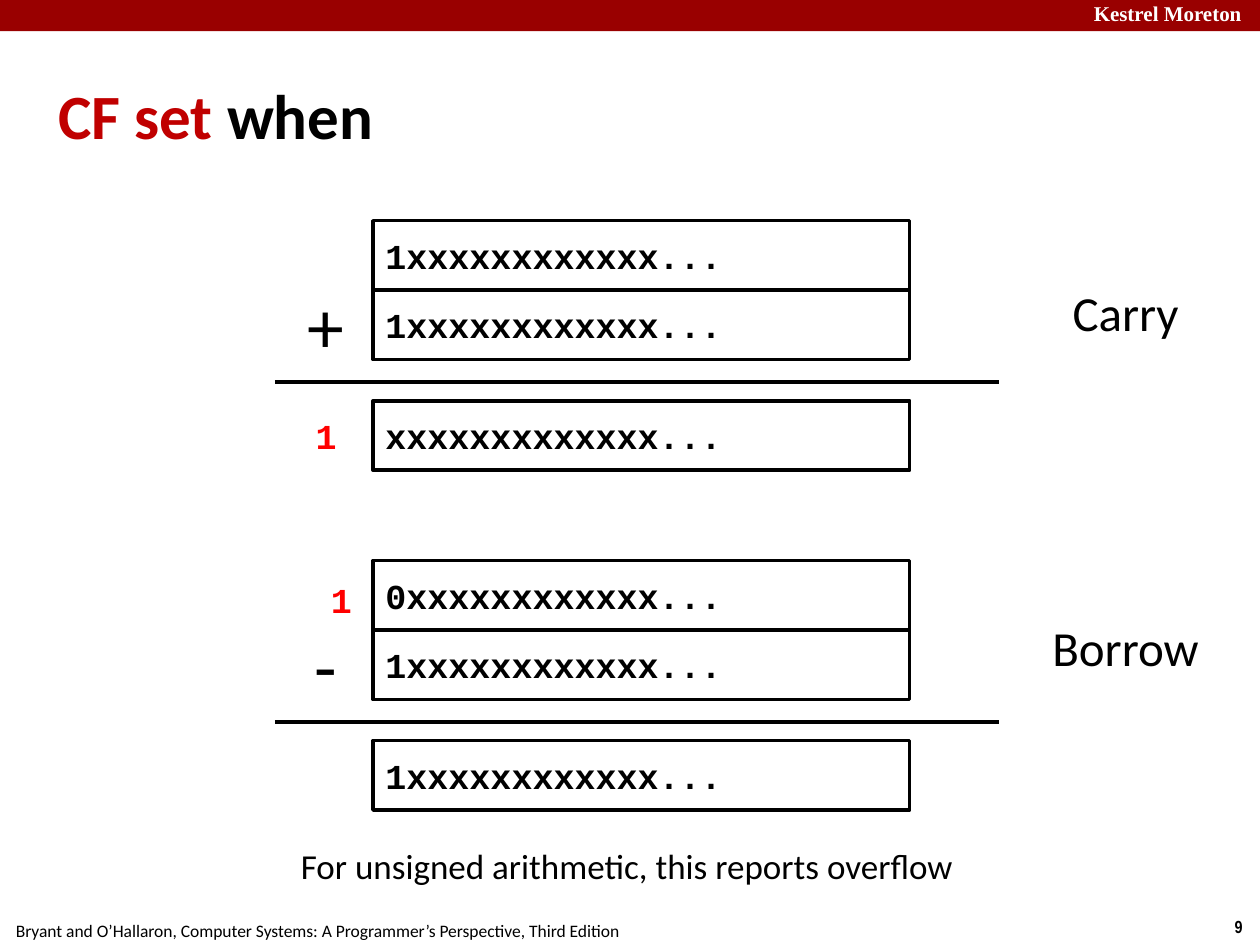
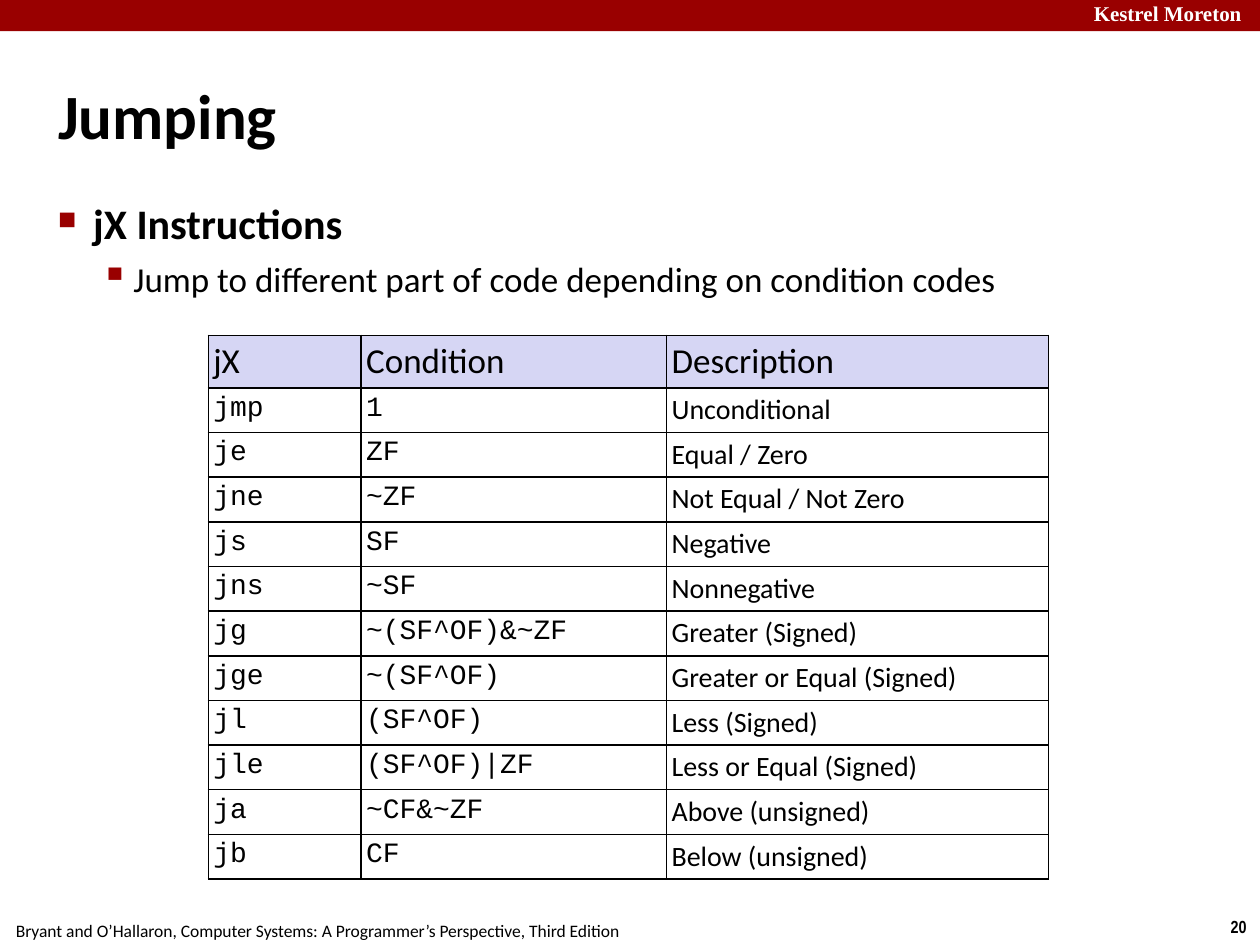
from dataclasses import dataclass

from pptx import Presentation
from pptx.dml.color import RGBColor
from pptx.enum.shapes import MSO_CONNECTOR, MSO_SHAPE
from pptx.enum.text import MSO_ANCHOR, MSO_AUTO_SIZE, PP_ALIGN
from pptx.oxml.ns import qn
from pptx.util import Cm, Pt
from lxml.etree import SubElement


@dataclass(frozen=True)
class TextStyle:
    """Font, size, weight and colour of a kind of text."""
    name: str = "Calibri"
    size: float = 20
    bold: bool = False
    colour: str = "000000"


@dataclass(frozen=True)
class Theme:
    """Colours, line widths and text styles that the slides share."""
    band: str = "990000"
    ink: str = "000000"
    header_fill: str = "D6D6F4"
    outline: float = 2
    grid: float = 1
    inset: float = 0.1
    brand: TextStyle = TextStyle("Times New Roman", 12, True, "FFFFFF")
    footer: TextStyle = TextStyle(size=10)
    page: TextStyle = TextStyle("Arial Narrow", 10, True)
    title: TextStyle = TextStyle(size=36, bold=True)
    title_accent: TextStyle = TextStyle(size=36, bold=True, colour="C00000")
    topic: TextStyle = TextStyle(size=24, bold=True)
    body: TextStyle = TextStyle()
    bits: TextStyle = TextStyle("Courier New", 20, True)
    flag: TextStyle = TextStyle("Courier New", 20, True, "FF0000")
    operator: TextStyle = TextStyle(size=42)
    label: TextStyle = TextStyle(size=28)
    code_cell: TextStyle = TextStyle("Courier New", 16)
    text_cell: TextStyle = TextStyle(size=16)


THEME = Theme()
BRAND = "Kestrel Moreton"
SOURCE = ("Bryant and O’Hallaron, Computer Systems: "
          "A Programmer’s Perspective, Third Edition")
MARGINS = ("margin_left", "margin_top", "margin_right", "margin_bottom")
TIGHT = dict.fromkeys(MARGINS, Cm(THEME.inset))
FITTED = {"auto_size": MSO_AUTO_SIZE.SHAPE_TO_FIT_TEXT}

SUMS = (
    {"top": 4.45, "operator": "+", "label": "Carry", "label_drop": 1.12,
     "operands": ("1xxxxxxxxxxxx...", "1xxxxxxxxxxxx..."),
     "result": "xxxxxxxxxxxxx...", "flag_at": (5.94, 3.78)},
    {"top": 11.3, "operator": "-", "label": "Borrow", "label_drop": 1.02,
     "operands": ("0xxxxxxxxxxxx...", "1xxxxxxxxxxxx..."),
     "result": "1xxxxxxxxxxxx...", "flag_at": (6.25, 0.23)},
)

JUMPS = (
    ("jX", "Condition", "Description"),
    ("jmp", "1", "Unconditional"),
    ("je", "ZF", "Equal / Zero"),
    ("jne", "~ZF", "Not Equal / Not Zero"),
    ("js", "SF", "Negative"),
    ("jns", "~SF", "Nonnegative"),
    ("jg", "~(SF^OF)&~ZF", "Greater (Signed)"),
    ("jge", "~(SF^OF)", "Greater or Equal (Signed)"),
    ("jl", "(SF^OF)", "Less (Signed)"),
    ("jle", "(SF^OF)|ZF", "Less or Equal (Signed)"),
    ("ja", "~CF&~ZF", "Above (unsigned)"),
    ("jb", "CF", "Below (unsigned)"),
)


def apply(target, values):
    """Set each named attribute on the target."""
    for name, value in values.items():
        setattr(target, name, value)


def rgb(colour):
    """Turn a hex string into a colour."""
    return RGBColor.from_string(colour)


def write(paragraph, words, style, align=PP_ALIGN.LEFT):
    """Append a styled run to a paragraph."""
    paragraph.alignment = align
    run = paragraph.add_run()
    run.text = words
    apply(run.font, {"name": style.name, "size": Pt(style.size), "bold": style.bold})
    run.font.color.rgb = rgb(style.colour)


def add_text(slide, place, words, style, align=PP_ALIGN.CENTER, wrap=False, frame_format=FITTED):
    """Add a one-paragraph text box."""
    frame = slide.shapes.add_textbox(*map(Cm, place)).text_frame
    apply(frame, {"word_wrap": wrap, **frame_format})
    write(frame.paragraphs[0], words, style, align)


def add_box(slide, place, fill=None, outline=None):
    """Add a flat rectangle with an optional fill and outline."""
    box = slide.shapes.add_shape(MSO_SHAPE.RECTANGLE, *map(Cm, place))
    box.shadow.inherit = False
    if fill:
        box.fill.solid()
        box.fill.fore_color.rgb = rgb(fill)
    else:
        box.fill.background()
    if outline:
        box.line.color.rgb = rgb(outline)
        box.line.width = Pt(THEME.outline)
    else:
        box.line.fill.background()
    return box


def add_register(slide, top, bits):
    """Add an outlined register holding a bit pattern."""
    register = add_box(slide, (7.52, top, 10.82, 1.4), outline=THEME.ink)
    register.text_frame.vertical_anchor = MSO_ANCHOR.MIDDLE
    write(register.text_frame.paragraphs[0], bits, THEME.bits)


def add_rule(slide, left, right, height):
    """Draw a horizontal line under the operands."""
    rule = slide.shapes.add_connector(
        MSO_CONNECTOR.STRAIGHT, Cm(left), Cm(height), Cm(right), Cm(height))
    rule.line.color.rgb = rgb(THEME.ink)
    rule.line.width = Pt(THEME.outline)
    SubElement(rule._element.spPr, qn("a:effectLst"))


def add_sum(slide, calculation):
    """Lay out operands, operator, result, flag and label of one sum."""
    top = calculation["top"]
    for row, bits in enumerate(calculation["operands"]):
        add_register(slide, top + row * 1.4, bits)
    add_rule(slide, 5.54, 20.14, top + 3.25)
    add_register(slide, top + 3.63, calculation["result"])
    add_text(slide, (5.94, top + 1.07, 1.27, 2.06), calculation["operator"],
             THEME.operator, wrap=True)
    flag_left, flag_drop = calculation["flag_at"]
    add_text(slide, (flag_left, top + flag_drop, 1.27, 1.12), "1", THEME.flag, wrap=True)
    add_text(slide, (20.94, top + calculation["label_drop"], 3.5, 1.45),
             calculation["label"], THEME.label)


def add_slide(deck, page, title_parts):
    """Add a titled slide with the shared band and footer."""
    slide = deck.slides.add_slide(deck.slide_layouts[5])
    add_text(slide, (24.54, 18.34, 0.86, 0.69), page, THEME.page)
    add_text(slide, (-0.05, 18.42, 12.9, 0.69), SOURCE, THEME.footer)
    add_box(slide, (0, 0, 25.4, 0.63), fill=THEME.band)
    add_text(slide, (21.95, -0.08, 3.4, 0.71), BRAND, THEME.brand,
             PP_ALIGN.LEFT, True, TIGHT)
    title = slide.shapes.title
    apply(title, {"left": Cm(1.07), "top": Cm(0.71), "width": Cm(23.29), "height": Cm(3.18)})
    apply(title.text_frame, {"vertical_anchor": MSO_ANCHOR.MIDDLE, "word_wrap": True,
                             "auto_size": MSO_AUTO_SIZE.NONE, **TIGHT})
    for words, style in title_parts:
        write(title.text_frame.paragraphs[0], words, style)
    return slide


def set_bullet(paragraph, mark, percent, indent, hang):
    """Give a paragraph a coloured bullet and a hanging indent."""
    properties = paragraph._p.get_or_add_pPr()
    properties.set("marL", str(Cm(indent)))
    properties.set("indent", str(-Cm(hang)))
    colour = SubElement(properties, qn("a:buClr"))
    SubElement(colour, qn("a:srgbClr"), val=THEME.band)
    SubElement(properties, qn("a:buSzPct"), val=str(percent * 1000))
    SubElement(properties, qn("a:buChar"), char=mark)


def add_outline(slide, place, topic, detail):
    """Add a bulleted topic with one detail below it."""
    frame = slide.shapes.add_textbox(*map(Cm, place)).text_frame
    apply(frame, {"word_wrap": True, **TIGHT})
    levels = (
        (frame.paragraphs[0], topic, THEME.topic, 0, 6, ("■", 60, 0.71, 0.71)),
        (frame.add_paragraph(), detail, THEME.body, 1, 5, ("▪", 110, 1.52, 0.66)),
    )
    for paragraph, words, style, level, space, bullet in levels:
        apply(paragraph, {"level": level, "space_before": Pt(space)})
        set_bullet(paragraph, *bullet)
        write(paragraph, words, style)


def set_borders(cell):
    """Draw a thin line on every side of a cell."""
    properties = cell._tc.get_or_add_tcPr()
    for side in ("lnL", "lnR", "lnT", "lnB"):
        border = SubElement(properties, qn(f"a:{side}"), w=str(Pt(THEME.grid)))
        fill = SubElement(border, qn("a:solidFill"))
        SubElement(fill, qn("a:srgbClr"), val=THEME.ink)


def fill_cell(cell, words, style, is_header):
    """Format one table cell and write its text."""
    apply(cell, TIGHT)
    set_borders(cell)
    if is_header:
        cell.fill.solid()
        cell.fill.fore_color.rgb = rgb(THEME.header_fill)
    else:
        cell.fill.background()
    write(cell.text_frame.paragraphs[0], words, style)


def add_jump_table(slide, left, top, widths, header_height, row_height):
    """Add the table of jump instructions."""
    height = header_height + row_height * (len(JUMPS) - 1)
    table = slide.shapes.add_table(
        len(JUMPS), len(widths), *map(Cm, (left, top, sum(widths), height))).table
    apply(table, {"first_row": False, "horz_banding": False})
    for column, width in zip(table.columns, widths):
        column.width = Cm(width)
    row_styles = (THEME.code_cell, THEME.code_cell, THEME.text_cell)
    for index, (row, entries) in enumerate(zip(table.rows, JUMPS)):
        is_header = index == 0
        row.height = Cm(header_height if is_header else row_height)
        for cell, words, style in zip(row.cells, entries, row_styles):
            fill_cell(cell, words, THEME.body if is_header else style, is_header)


def main():
    """Build the two slides and save the deck."""
    deck = Presentation()
    apply(deck, {"slide_width": Cm(25.4), "slide_height": Cm(19.05)})

    carry_flag = add_slide(deck, "9", (("CF set ", THEME.title_accent), ("when", THEME.title)))
    for calculation in SUMS:
        add_sum(carry_flag, calculation)
    add_text(carry_flag, (5.74, 16.89, 13.8, 1.12),
             "For unsigned arithmetic, this reports overflow", THEME.body)

    jumping = add_slide(deck, "20", (("Jumping", THEME.title),))
    add_outline(jumping, (1.07, 3.89, 23.29, 2.39), "jX Instructions",
                "Jump to different part of code depending on condition codes")
    add_jump_table(jumping, 4.2, 6.76, (3.08, 6.16, 7.7), 1.06, 0.9)

    deck.save("out.pptx")


if __name__ == "__main__":
    main()
